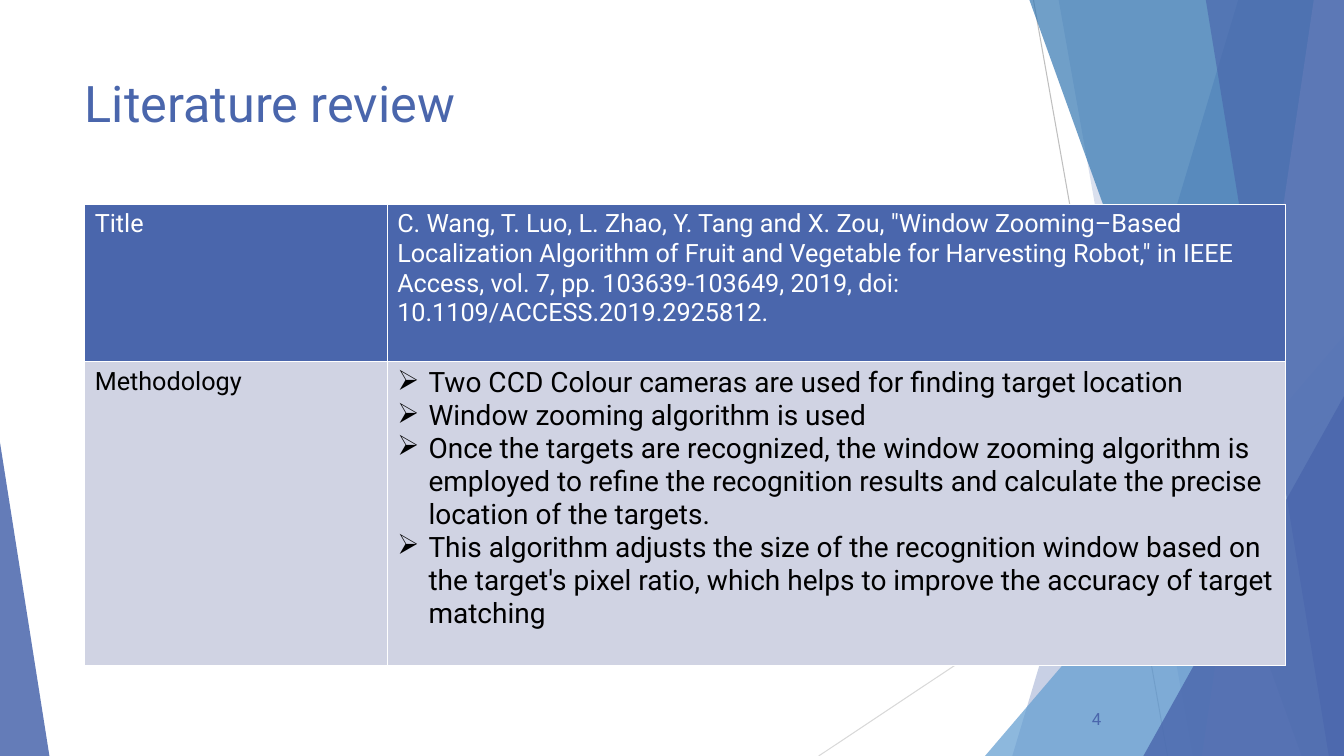
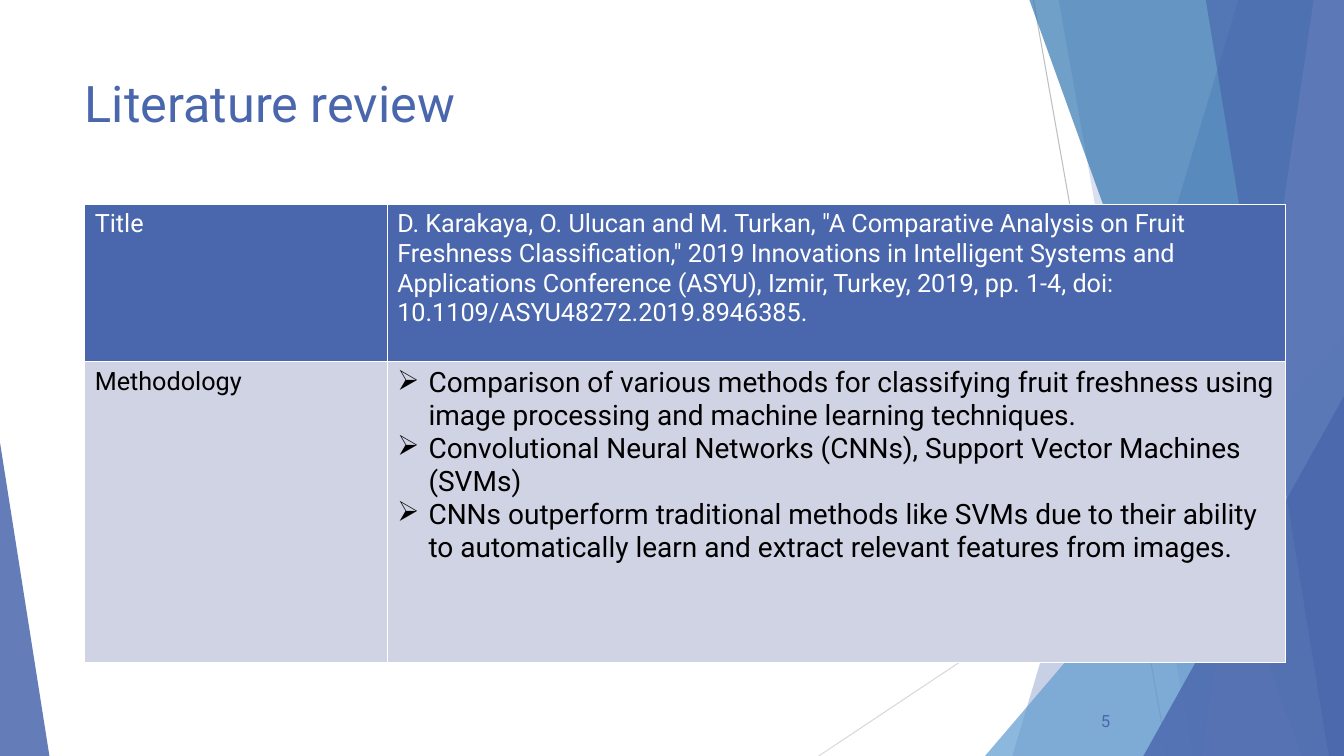
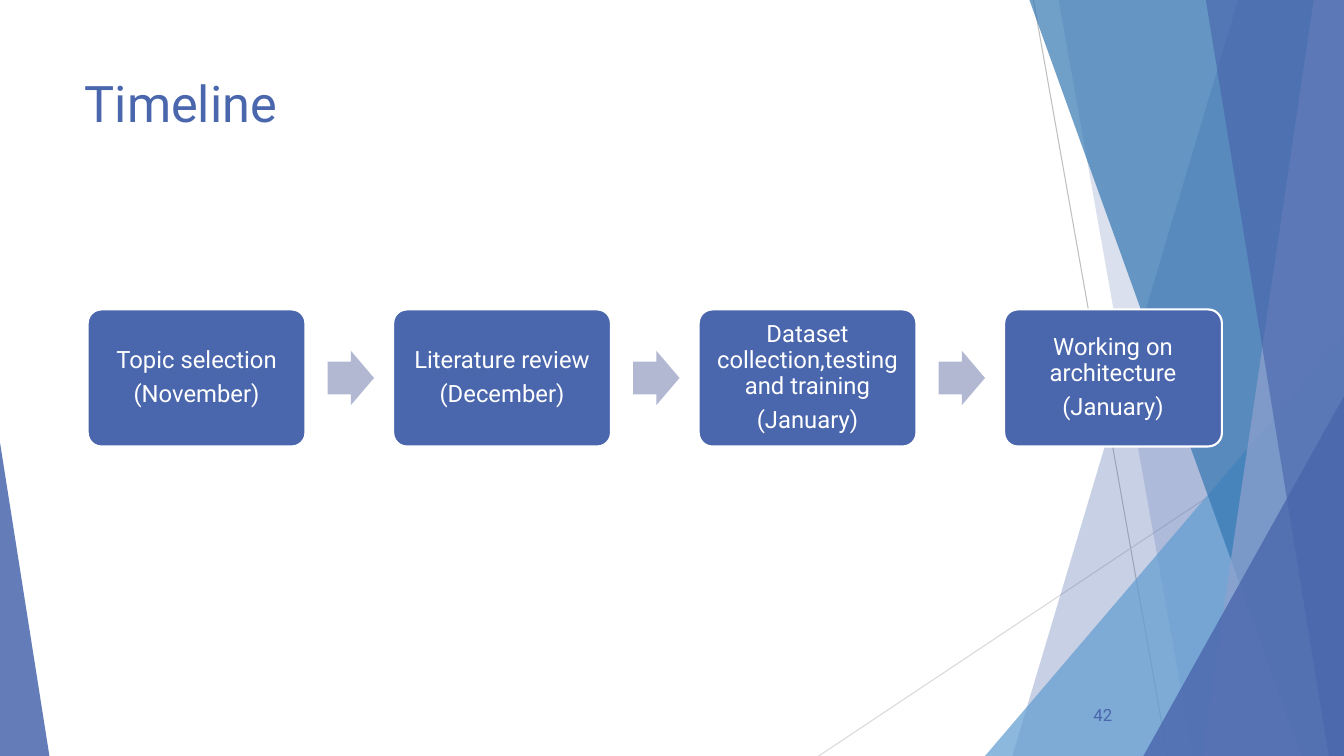
from lxml.etree import SubElement
from pptx import Presentation
from pptx.dml.color import RGBColor
from pptx.enum.shapes import MSO_CONNECTOR, MSO_SHAPE
from pptx.enum.text import MSO_ANCHOR, PP_ALIGN
from pptx.oxml.ns import qn
from pptx.util import Emu, Inches, Pt

WIDTH, HEIGHT = 13.33, 7.5
FONT = "Roboto"
BLUE = RGBColor(0x4A, 0x66, 0xAC)
SKY = RGBColor(0x62, 0x9D, 0xD1)
OCEAN = RGBColor(0x34, 0x77, 0xB2)
LAVENDER = RGBColor(0x90, 0xA2, 0xCF)
PALE = RGBColor(0xD0, 0xD3, 0xE3)
ARROW = RGBColor(0xB2, 0xB8, 0xD2)
GREY = RGBColor(0xBF, 0xBF, 0xBF)
LIGHT_GREY = RGBColor(0xD9, 0xD9, 0xD9)
WHITE = RGBColor(0xFF, 0xFF, 0xFF)
BLACK = RGBColor(0, 0, 0)

# Rays: start, end, colour
RAYS = [
    ((10.25, 0), (11.58, HEIGHT), GREY),
    ((WIDTH, 4.03), (8.12, HEIGHT), LIGHT_GREY),
]
# Bands reach the right edge: ("band", x at the top, x at the foot, colour, opacity)
# Peaks stand on the lower edge: ("peak", left, top, width, apex, colour, opacity)
BACKDROP = [
    ("band", 12.28, 10.04, BLUE, 30),
    ("band", 10.5, 11.83, BLUE, 20),
    ("peak", 9.77, 3.33, 3.56, 1, SKY, 72),
    ("band", 10.21, 12.91, OCEAN, 70),
    ("band", 13.03, 11.92, LAVENDER, 70),
    ("band", 11.96, 13.18, BLUE, 65),
    ("peak", 11.34, 3.93, 1.99, 1, BLUE, 80),
    ("peak", 0, 4.39, 0.49, 0, BLUE, 85),
]

REVIEWS = [
    {
        "number": ("4", 10.27, 6.93),
        "rows": (1.56, 3.01),
        "source": 'C. Wang, T. Luo, L. Zhao, Y. Tang and X. Zou, "Window Zooming–Based '
                  'Localization Algorithm of Fruit and Vegetable for Harvesting Robot," in '
                  'IEEE Access, vol. 7, pp. 103639-103649, 2019, doi: '
                  '10.1109/ACCESS.2019.2925812.',
        "points": [
            "Two CCD Colour cameras are used for finding target location",
            "Window zooming algorithm is used",
            "Once the targets are recognized, the window zooming algorithm is employed to "
            "refine the recognition results and calculate the precise location of the targets.",
            "This algorithm adjusts the size of the recognition window based on the target's "
            "pixel ratio, which helps to improve the accuracy of target matching",
        ],
    },
    {
        "number": ("5", 10.36, 6.95),
        "rows": (1.56, 2.98),
        "source": 'D. Karakaya, O. Ulucan and M. Turkan, "A Comparative Analysis on Fruit '
                  'Freshness Classification," 2019 Innovations in Intelligent Systems and '
                  'Applications Conference (ASYU), Izmir, Turkey, 2019, pp. 1-4, doi: '
                  '10.1109/ASYU48272.2019.8946385.',
        "points": [
            "Comparison of various methods for classifying fruit freshness using image "
            "processing and machine learning techniques.",
            "Convolutional Neural Networks (CNNs), Support Vector Machines (SVMs)",
            "CNNs outperform traditional methods like SVMs due to their ability to "
            "automatically learn and extract relevant features from images.",
        ],
    },
]
TABLE_LEFT, TABLE_TOP = 0.84, 2.03
TABLE_COLUMNS = (3, 8.91)

STEPS = [
    ("Topic selection", "(November)"),
    ("Literature review", "(December)"),
    ("Dataset collection,testing and training", "(January)"),
    ("Working on architecture", "(January)"),
]
STEP_LEFT, STEP_PITCH, STEP_WIDTH, STEP_HEIGHT = 0.87, 3.03, 2.16, 1.36
ARROW_OFFSET, ARROW_WIDTH, ARROW_HEIGHT = 2.38, 0.46, 0.54


def style(paragraph, size, colour, align=PP_ALIGN.LEFT):
    paragraph.alignment = align
    for span in paragraph.runs:
        span.font.name = FONT
        span.font.size = Pt(size)
        span.font.color.rgb = colour


def paint(shape, colour, opacity=100):
    shape.shadow.inherit = False
    shape.fill.solid()
    shape.fill.fore_color.rgb = colour
    shape.line.fill.background()
    if opacity < 100:
        tint = shape.fill._xPr.find(".//" + qn("a:srgbClr"))
        SubElement(tint, qn("a:alpha")).set("val", str(opacity * 1000))


def add_preset(page, kind, left, top, width, height, *adjustments):
    shape = page.shapes.add_shape(
        kind, Inches(left), Inches(top), Inches(width), Inches(height))
    for index, value in enumerate(adjustments):
        shape.adjustments[index] = value
    return shape


def add_band(page, top_x, foot_x):
    corners = [(Inches(x), Inches(y)) for x, y in
               ((top_x, 0), (WIDTH, 0), (WIDTH, HEIGHT), (foot_x, HEIGHT))]
    outline = page.shapes.build_freeform(*corners[0])
    outline.add_line_segments(corners[1:], close=True)
    return outline.convert_to_shape()


def draw_backdrop(page):
    """Draw the rays, bands and peaks and return their shapes, back to front."""
    shapes = []
    for start, end, colour in RAYS:
        ray = page.shapes.add_connector(
            MSO_CONNECTOR.STRAIGHT, *(Inches(v) for v in start + end))
        ray.line.color.rgb = colour
        ray.line.width = Pt(0.75)
        SubElement(ray._element.spPr, qn("a:effectLst"))
        shapes.append(ray)
    for kind, *numbers, colour, opacity in BACKDROP:
        if kind == "band":
            shape = add_band(page, *numbers)
        else:
            left, top, width, apex = numbers
            shape = add_preset(page, MSO_SHAPE.ISOSCELES_TRIANGLE,
                               left, top, width, HEIGHT - top, apex)
        paint(shape, colour, opacity)
        shapes.append(shape)
    return shapes


def set_up_layout(layout, first_page):
    """Give the layout its title place and the backdrop that all pages share."""
    title, *others = layout.placeholders
    for holder in others:
        holder._element.getparent().remove(holder._element)
    title.left, title.top = Inches(0.74), Inches(0.67)
    title.width, title.height = Inches(9.4), Inches(1.44)
    title.text_frame.vertical_anchor = MSO_ANCHOR.TOP
    for index, shape in enumerate(draw_backdrop(first_page)):
        layout.shapes._spTree.insert(2 + index, shape._element)


def fill_frame(page, title, number):
    heading = page.shapes.title.text_frame
    heading.text = title
    style(heading.paragraphs[0], 36, BLUE)
    label, left, top = number
    box = page.shapes.add_textbox(Inches(left), Inches(top), Inches(0.75), Inches(0.4))
    box.text_frame.word_wrap = True
    box.text_frame.vertical_anchor = MSO_ANCHOR.MIDDLE
    box.text_frame.text = label
    style(box.text_frame.paragraphs[0], 12, BLUE, PP_ALIGN.RIGHT)


def add_bullet(paragraph):
    properties = paragraph._p.get_or_add_pPr()
    properties.set("marL", str(Inches(0.31)))
    properties.set("indent", str(-Inches(0.31)))
    SubElement(properties, qn("a:buChar")).set("char", "➢")


def format_cell(cell, fill):
    properties = cell._tc.get_or_add_tcPr()
    for side in ("a:lnL", "a:lnR", "a:lnT", "a:lnB"):
        border = SubElement(properties, qn(side), w=str(Pt(1)))
        solid = SubElement(border, qn("a:solidFill"))
        SubElement(solid, qn("a:srgbClr")).set("val", str(WHITE))
    cell.fill.solid()
    cell.fill.fore_color.rgb = fill


def build_review(page, review):
    fill_frame(page, "Literature review", review["number"])
    table = page.shapes.add_table(
        2, 2, Inches(TABLE_LEFT), Inches(TABLE_TOP),
        Inches(sum(TABLE_COLUMNS)), Inches(sum(review["rows"]))).table
    table.first_row = table.horz_banding = False
    for column, width in zip(table.columns, TABLE_COLUMNS):
        column.width = Inches(width)
    contents = [("Title", review["source"], BLUE, WHITE),
                ("Methodology", "\n".join(review["points"]), PALE, BLACK)]
    for index, (label, text, fill, colour) in enumerate(contents):
        table.rows[index].height = Inches(review["rows"][index])
        for cell, words in zip(table.rows[index].cells, (label, text)):
            format_cell(cell, fill)
            cell.text_frame.text = words
            for paragraph in cell.text_frame.paragraphs:
                listed = words is text and index == 1
                if listed:
                    add_bullet(paragraph)
                style(paragraph, 20 if listed else 18, colour)


def build_timeline(page):
    fill_frame(page, "Timeline", ("42", 10.38, 6.89))
    for index, step in enumerate(STEPS):
        left = STEP_LEFT + index * STEP_PITCH
        card = add_preset(page, MSO_SHAPE.ROUNDED_RECTANGLE, left,
                          (HEIGHT - STEP_HEIGHT) / 2, STEP_WIDTH, STEP_HEIGHT, 0.1)
        paint(card, BLUE)
        card.line.color.rgb = WHITE
        card.line.width = Pt(1.5)
        frame = card.text_frame
        frame.word_wrap = True
        frame.vertical_anchor = MSO_ANCHOR.MIDDLE
        frame.margin_left = frame.margin_right = Inches(0.07)
        frame.margin_top = frame.margin_bottom = Inches(0.07)
        frame.text = "\n".join(step)
        for paragraph in frame.paragraphs:
            paragraph.line_spacing = 0.9
            paragraph.space_after = Pt(6)
            style(paragraph, 17, WHITE, PP_ALIGN.CENTER)
        if index < len(STEPS) - 1:
            arrow = add_preset(page, MSO_SHAPE.RIGHT_ARROW, left + ARROW_OFFSET,
                               (HEIGHT - ARROW_HEIGHT) / 2, ARROW_WIDTH, ARROW_HEIGHT,
                               0.6, 0.5)
            paint(arrow, ARROW)


def main():
    deck = Presentation()
    deck.slide_width, deck.slide_height = Emu(Inches(WIDTH)), Emu(Inches(HEIGHT))
    layout = deck.slide_layouts.get_by_name("Title Only")
    pages = [deck.slides.add_slide(layout) for _ in range(len(REVIEWS) + 1)]
    set_up_layout(layout, pages[0])
    for page, review in zip(pages, REVIEWS):
        build_review(page, review)
    build_timeline(pages[-1])
    deck.save("out.pptx")


if __name__ == "__main__":
    main()
